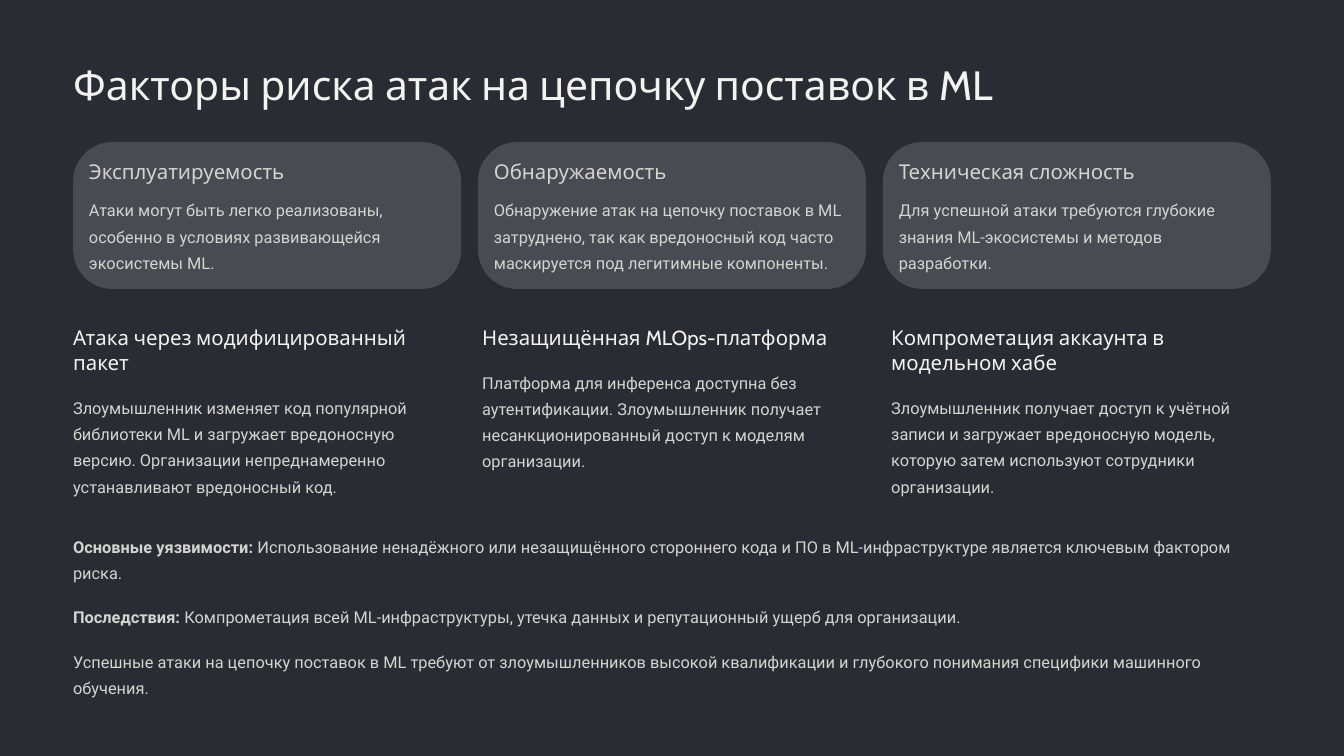
from pptx import Presentation
from pptx.dml.color import RGBColor
from pptx.enum.shapes import MSO_SHAPE
from pptx.enum.text import MSO_ANCHOR, MSO_AUTO_SIZE, PP_ALIGN
from pptx.util import Inches, Pt

ROUNDED = MSO_SHAPE.ROUNDED_RECTANGLE
TOP, LEFT, NO_FIT = MSO_ANCHOR.TOP, PP_ALIGN.LEFT, MSO_AUTO_SIZE.NONE
BACKGROUND = RGBColor(0x29, 0x2C, 0x32)
CARD = RGBColor(0x48, 0x4B, 0x51)
BRIGHT = RGBColor(0xF3, 0xF3, 0xF2)
MUTED = RGBColor(0xD4, 0xD4, 0xD1)
HEADING_FONT, BODY_FONT = "Cabin", "Roboto"
MARGIN, CONTENT_WIDTH = 0.87, 14.26

TITLE = "Факторы риска атак на цепочку поставок в ML"
RISK_FACTORS = [
    ("Эксплуатируемость",
     "Атаки могут быть легко реализованы, особенно в условиях развивающейся экосистемы ML."),
    ("Обнаружаемость",
     "Обнаружение атак на цепочку поставок в ML затруднено, так как вредоносный код часто "
     "маскируется под легитимные компоненты."),
    ("Техническая сложность",
     "Для успешной атаки требуются глубокие знания ML-экосистемы и методов разработки."),
]
SCENARIOS = [
    ("Атака через модифицированный пакет", 2,
     "Злоумышленник изменяет код популярной библиотеки ML и загружает вредоносную версию. "
     "Организации непреднамеренно устанавливают вредоносный код."),
    ("Незащищённая MLOps-платформа", 1,
     "Платформа для инференса доступна без аутентификации. Злоумышленник получает "
     "несанкционированный доступ к моделям организации."),
    ("Компрометация аккаунта в модельном хабе", 2,
     "Злоумышленник получает доступ к учётной записи и загружает вредоносную модель, "
     "которую затем используют сотрудники организации."),
]
CONCLUSIONS = [
    (6.31, 0.62, "Основные уязвимости:",
     " Использование ненадёжного или незащищённого стороннего кода и ПО в ML-инфраструктуре "
     "является ключевым фактором риска."),
    (7.15, 0.31, "Последствия:",
     " Компрометация всей ML-инфраструктуры, утечка данных и репутационный ущерб для организации."),
    (7.68, 0.62, "",
     "Успешные атаки на цепочку поставок в ML требуют от злоумышленников высокой квалификации "
     "и глубокого понимания специфики машинного обучения."),
]


def fill_text(frame, text, font_name, size, line_height, color, lead=""):
    """Write one left-aligned paragraph with an optional bold lead."""
    frame.margin_left = frame.margin_top = frame.margin_right = frame.margin_bottom = 0
    frame.word_wrap = True
    frame.auto_size = NO_FIT
    frame.vertical_anchor = TOP
    paragraph = frame.paragraphs[0]
    paragraph.text = lead or text
    if lead:
        paragraph.add_run().text = text
        paragraph.runs[0].font.bold = True
    paragraph.alignment = LEFT
    paragraph.line_spacing = Pt(line_height)
    for run in paragraph.runs:
        run.font.name = font_name
        run.font.size = Pt(size)
        run.font.color.rgb = color


def add_text(slide, left, top, width, height):
    """Add an empty text box and return its frame."""
    return slide.shapes.add_textbox(
        Inches(left), Inches(top), Inches(width), Inches(height)).text_frame


def add_heading(slide, left, top, width, height, text, color):
    """Add a section heading."""
    fill_text(add_text(slide, left, top, width, height), text, HEADING_FONT, 17.5, 21.5, color)


def add_body(slide, left, top, width, height, text, lead=""):
    """Add a body paragraph."""
    fill_text(add_text(slide, left, top, width, height), text, BODY_FONT, 14, 22.5, MUTED, lead)


def add_title(slide, left, top, width, height):
    """Place and format the slide title."""
    title = slide.shapes.title
    title.left, title.top = Inches(left), Inches(top)
    title.width, title.height = Inches(width), Inches(height)
    fill_text(title.text_frame, TITLE, HEADING_FONT, 35, 43.5, BRIGHT)


def add_risk_card(slide, left, top, width, height, heading, body):
    """Draw a rounded card with a heading and a description."""
    card = slide.shapes.add_shape(
        ROUNDED, Inches(left), Inches(top), Inches(width), Inches(height))
    card.adjustments[0] = 0.268
    card.shadow.inherit = False
    card.fill.solid()
    card.fill.fore_color.rgb = CARD
    card.line.fill.background()
    inset = 0.19
    text_width = width - 2 * inset
    add_heading(slide, left + inset, top + 0.2, text_width, 0.31, heading, MUTED)
    add_body(slide, left + inset, top + 0.62, text_width, 0.94, body)


def add_scenario(slide, left, top, width, heading, heading_lines, body):
    """Set an attack scenario, its description following the heading."""
    heading_height = 0.3 * heading_lines
    add_heading(slide, left, top, width, heading_height, heading, BRIGHT)
    add_body(slide, left, top + heading_height + 0.2, width, 1.25, body)


def main():
    """Build and save the slide."""
    presentation = Presentation()
    presentation.slide_width, presentation.slide_height = Inches(16), Inches(9)
    slide = presentation.slides.add_slide(presentation.slide_layouts[5])
    slide.background.fill.solid()
    slide.background.fill.fore_color.rgb = BACKGROUND
    add_title(slide, MARGIN, 0.69, CONTENT_WIDTH, 0.61)
    for column, (heading, body) in enumerate(RISK_FACTORS):
        add_risk_card(slide, MARGIN + 4.82 * column, 1.69, 4.62, 1.75, heading, body)
    for column, (heading, heading_lines, body) in enumerate(SCENARIOS):
        add_scenario(slide, MARGIN + 4.87 * column, 3.86, 4.39, heading, heading_lines, body)
    for top, height, lead, text in CONCLUSIONS:
        add_body(slide, MARGIN, top, CONTENT_WIDTH, height, text, lead)
    presentation.save("out.pptx")


if __name__ == "__main__":
    main()
